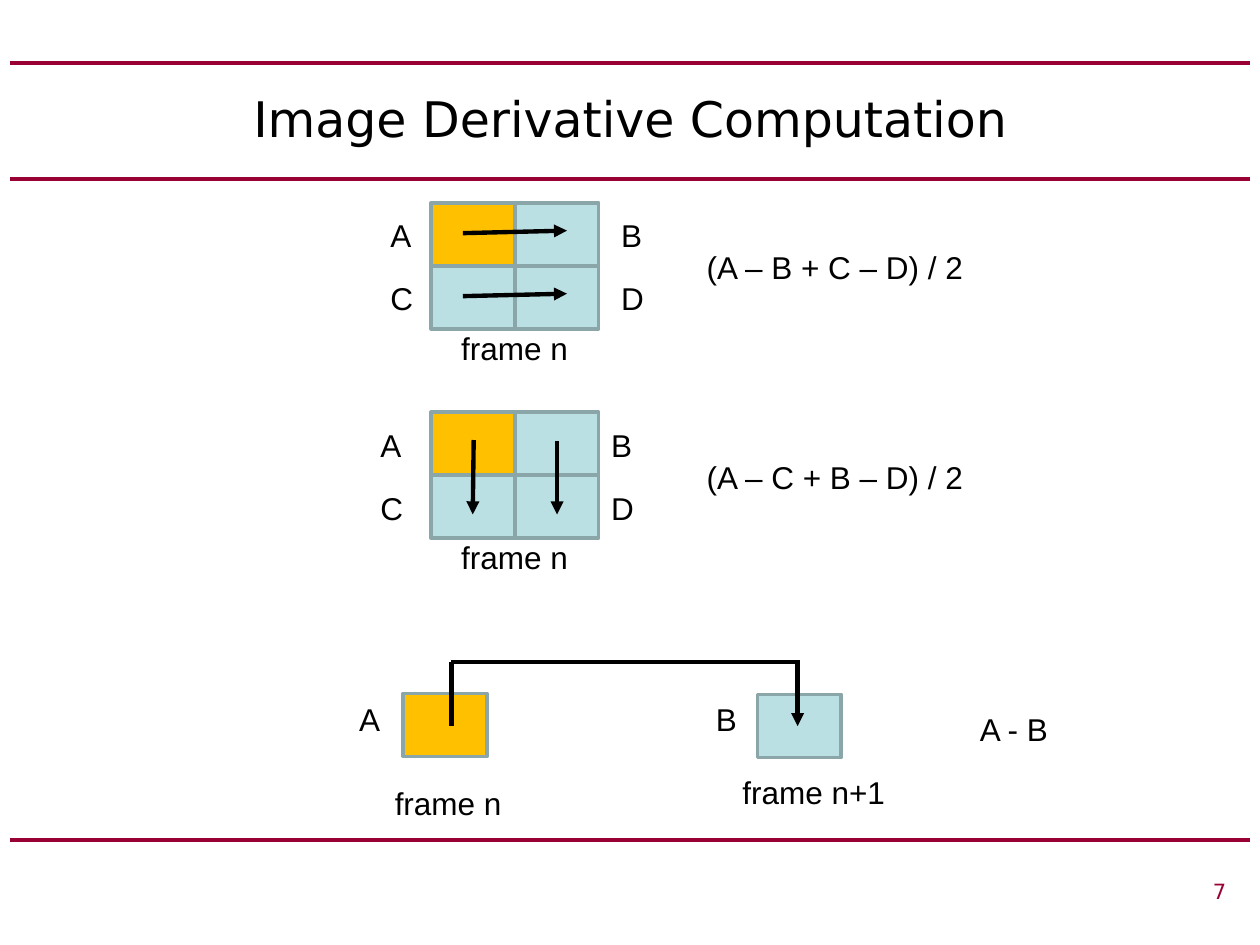
from pptx import Presentation
from pptx.dml.color import RGBColor
from pptx.enum.shapes import MSO_CONNECTOR as CONN, MSO_SHAPE as SHAPE
from pptx.enum.text import MSO_ANCHOR as ANCHOR, PP_ALIGN as ALIGN
from pptx.oxml.ns import qn
from pptx.util import Cm, Pt
from lxml.etree import SubElement

COLORS = {"rule": "990033", "ink": "000000", "marked": "FFC000",
          "cell": "BBE0E3", "edge": "8AA6A8"}
CELL_W, CELL_H = 1.69, 1.27
TEXT_H = 1.02


def rgb(name):
    return RGBColor.from_string(COLORS[name])


def write(tf, text, size=18, font="Arial", color="ink", align=ALIGN.LEFT):
    tf.word_wrap = True
    p = tf.paragraphs[0]
    p.alignment = align
    r = p.add_run()
    r.text = text
    r.font.size, r.font.name = Pt(size), font
    r.font.color.rgb = rgb(color)


def add_text(s, text, x, y, w=1.07, h=TEXT_H, **fmt):
    tb = s.shapes.add_textbox(Cm(x), Cm(y), Cm(w), Cm(h))
    write(tb.text_frame, text, **fmt)


def add_cell(s, x, y, color):
    sp = s.shapes.add_shape(SHAPE.RECTANGLE, Cm(x), Cm(y), Cm(CELL_W), Cm(CELL_H))
    sp.shadow.inherit = False
    sp.fill.solid()
    sp.fill.fore_color.rgb = rgb(color)
    sp.line.color.rgb = rgb("edge")
    sp.line.width = Pt(2)


def add_line(s, x1, y1, x2, y2, color="ink", width=2.5, arrow=False):
    c = s.shapes.add_connector(CONN.STRAIGHT, Cm(x1), Cm(y1), Cm(x2), Cm(y2))
    c.line.color.rgb = rgb(color)
    c.line.width = Pt(width)
    if arrow:
        SubElement(c.line._get_or_add_ln(), qn("a:tailEnd"), type="triangle")
    SubElement(c._element.spPr, qn("a:effectLst"))


def add_frame(s, x, y, formula, arrows, shift=0):
    """2 x 2 pixel block; shift moves the letters sideways."""
    for i, letter in enumerate("ABCD"):
        row, col = divmod(i, 2)
        add_cell(s, x + col * CELL_W, y + row * CELL_H, "cell" if i else "marked")
        add_text(s, letter, x + shift + (-1.07, 3.58)[col], y + 0.15 + row * CELL_H)
    for x1, y1, x2, y2 in arrows:
        add_line(s, x + x1, y + y1, x + x2, y + y2, arrow=True)
    add_text(s, "frame n", x - 0.36, y + 2.41, 4.09, align=ALIGN.CENTER)
    add_text(s, formula, x + 5.28, y + 0.79, 5.72, align=ALIGN.CENTER)


def add_time_step(s, x, y):
    """One pixel in two successive frames, joined by a bent arrow."""
    add_text(s, "A", x, y + 0.64)
    add_cell(s, x + 1.14, y + 0.64, "marked")
    add_text(s, "frame n", x, y + 2.34, 4.09, align=ALIGN.CENTER)
    add_text(s, "B", x + 7.19, y + 0.64)
    add_cell(s, x + 8.28, y + 0.66, "cell")
    add_text(s, "frame n+1", x + 6.99, y + 2.11, 4.85, align=ALIGN.CENTER)
    start, end, drop = x + 2.11, x + 9.09, y + 1.3
    add_line(s, start, y, start, drop)
    add_line(s, start, y, end + 0.05, y)
    add_line(s, end, y, end, drop, arrow=True)
    add_text(s, "A - B", x + 10.59, y + 0.84, 5.72, align=ALIGN.CENTER)


def add_furniture(s, x, w):
    """Rules, title and page number."""
    for y in (1.27, 3.61, 16.94):
        add_line(s, x, y, x + w, y, color="rule", width=2.25)
    title = s.shapes.title
    title.left, title.top, title.width, title.height = Cm(1.27), Cm(1.27), Cm(22.86), Cm(2.21)
    title.text_frame.vertical_anchor = ANCHOR.MIDDLE
    write(title.text_frame, "Image Derivative Computation", size=28,
          font="DejaVu Sans", align=ALIGN.CENTER)
    add_text(s, "7", 7.19, 17.58, 17.78, 0.84, size=12, font="DejaVu Sans",
             color="rule", align=ALIGN.RIGHT)


def main():
    prs = Presentation()
    prs.slide_width, prs.slide_height = Cm(25.4), Cm(19.05)
    s = prs.slides.add_slide(prs.slide_layouts[5])
    add_furniture(s, 0.2, 25)
    # Horizontal, vertical and temporal derivatives
    across = [(0.64, y, 2.74, y - 0.05) for y in (0.61, 0.61 + CELL_H)]
    down = [(0.86, 0.56, 0.84, 2.06), (2.54, 0.58, 2.54, 2.06)]
    add_frame(s, 8.69, 4.09, "(A – B + C – D) / 2", across)
    add_frame(s, 8.69, 8.31, "(A – C + B – D) / 2", down, shift=-0.2)
    add_time_step(s, 6.99, 13.34)
    prs.save("out.pptx")


if __name__ == "__main__":
    main()
